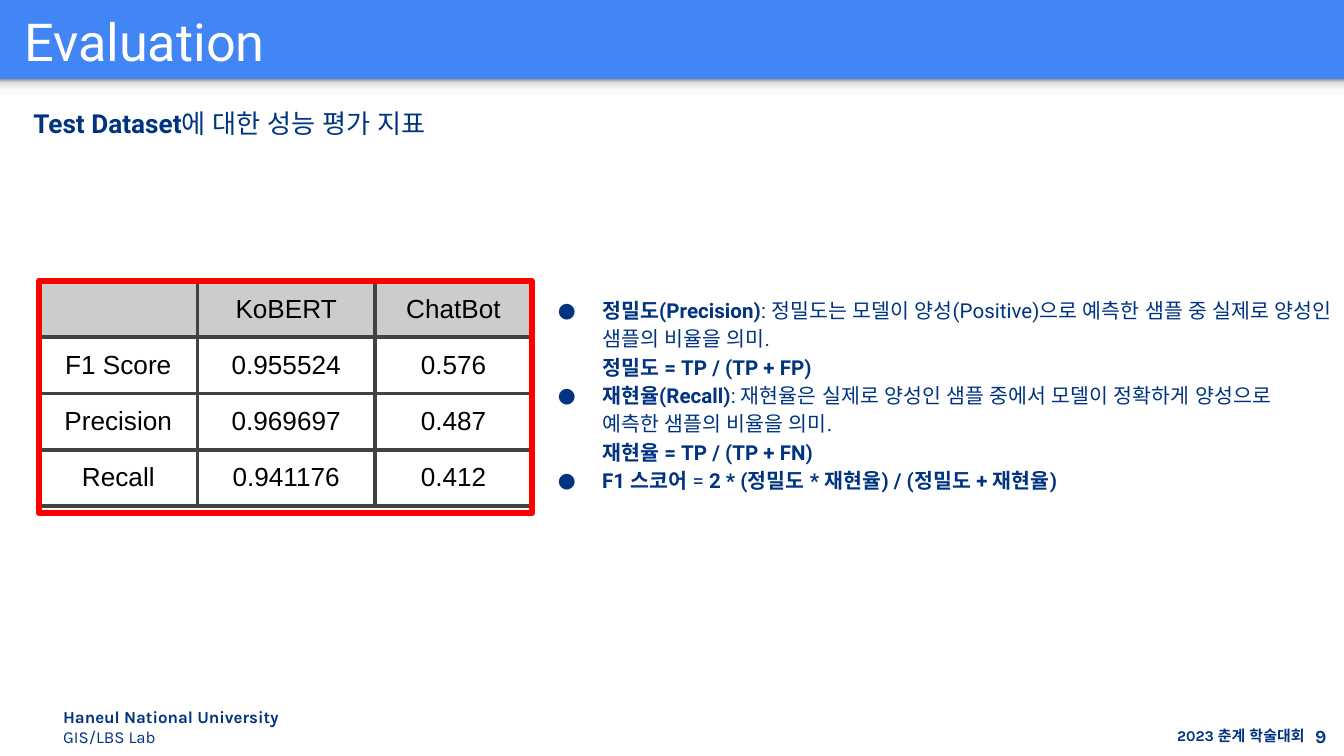
from dataclasses import dataclass

from lxml.etree import SubElement as Sub
from pptx import Presentation
from pptx.dml.color import RGBColor as RGB
from pptx.enum.shapes import MSO_SHAPE as Shape
from pptx.enum.text import MSO_ANCHOR as Anchor, MSO_AUTO_SIZE as Auto, PP_ALIGN as Align
from pptx.oxml.ns import qn
from pptx.util import Inches, Pt


@dataclass(frozen=True)
class Theme:
    blue: str = "4285F4"
    navy: str = "003380"
    white: str = "FFFFFF"
    black: str = "000000"
    gray: str = "CCCCCC"
    rule: str = "424242"
    red: str = "FF0000"
    shade: tuple = ((0, "F9F9F9"), (36, "F9F9F9"), (80, "DEDEDE"), (100, "999999"))
    main: str = "Roboto"
    foot: str = "Karla"
    grid: str = "Arial"
    title: float = 28
    head: float = 14
    body: float = 11
    page: float = 10
    lab: float = 9
    event: float = 8


class Deck:
    def __init__(self, theme):
        self.theme = theme
        self.prs = Presentation()
        self.prs.slide_width = Inches(10)
        self.prs.slide_height = Inches(10) * 9 // 16
        self.slide = self.prs.slides.add_slide(self.prs.slide_layouts[1])
        fill = self.slide.background.fill
        fill.solid()
        fill.fore_color.rgb = RGB.from_string(theme.blue)

    def style(self, run, font, size, color, bold=False):
        run.font.name, run.font.size, run.font.bold = font, Pt(size), bold
        run.font.color.rgb = RGB.from_string(color)
        Sub(run._r.get_or_add_rPr(), qn("a:ea"), typeface=font)

    def place(self, item, box):
        item.left, item.top, item.width, item.height = map(Inches, box)

    def frame(self, item, inset=0.1, anchor=Anchor.TOP):
        tf = item.text_frame
        tf.word_wrap, tf.auto_size, tf.vertical_anchor = True, Auto.NONE, anchor
        tf.margin_left = tf.margin_right = tf.margin_top = tf.margin_bottom = Inches(inset)
        return tf

    def rich(self, par, parts, font, size):
        """Fill a paragraph with (text, bold) parts; None is a line break."""
        for part in parts:
            if part is None:
                par.add_line_break()
                continue
            run = par.add_run()
            run.text, bold = part
            self.style(run, font, size, self.theme.navy, bold)

    def title(self, text, box):
        item = self.slide.shapes.title
        self.place(item, box)
        tf = self.frame(item, anchor=Anchor.MIDDLE)
        tf.text = text
        par = tf.paragraphs[0]
        par.alignment = Align.LEFT
        self.style(par.runs[0], self.theme.main, self.theme.title, self.theme.white)

    def bullets(self, items, box):
        theme = self.theme
        item = self.slide.placeholders[1]
        self.place(item, box)
        tf = self.frame(item)
        for i, parts in enumerate(items):
            par = tf.add_paragraph() if i else tf.paragraphs[0]
            par.line_spacing, par.space_before = 1.15, Pt(0 if i else 15)
            self.rich(par, parts, theme.main, theme.body)
            ppr = par._p.get_or_add_pPr()
            ppr.set("marL", str(Inches(0.5)))
            ppr.set("indent", str(Inches(-0.33)))
            Sub(Sub(ppr, qn("a:buClr")), qn("a:srgbClr"), val=theme.navy)
            Sub(ppr, qn("a:buSzPts"), val=str(theme.body * 100))
            Sub(ppr, qn("a:buFont"), typeface=theme.main)
            Sub(ppr, qn("a:buChar"), char="●")

    def text(self, lines, box, font, size, inset=0, anchor=Anchor.MIDDLE, align=Align.LEFT):
        tf = self.frame(self.slide.shapes.add_textbox(*map(Inches, box)), inset, anchor)
        for i, parts in enumerate(lines):
            par = tf.add_paragraph() if i else tf.paragraphs[0]
            par.alignment = align
            self.rich(par, parts, font, size)

    def rect(self, box):
        item = self.slide.shapes.add_shape(Shape.RECTANGLE, *map(Inches, box))
        item.shadow.inherit = False
        return item

    def panel(self, box, level, color=None, stops=()):
        """Borderless area behind the text, plain or shaded upwards."""
        item = self.rect(box)
        item.line.fill.background()
        if stops:
            item.fill.gradient()
            item.fill.gradient_angle = 90
            ramp = item._element.spPr.find(qn("a:gradFill")).find(qn("a:gsLst"))
            ramp[:] = []
            for pos, tone in stops:
                stop = Sub(ramp, qn("a:gs"), pos=str(pos * 1000))
                Sub(stop, qn("a:srgbClr"), val=tone)
        else:
            item.fill.solid()
            item.fill.fore_color.rgb = RGB.from_string(color)
        self.slide.shapes._spTree.insert(2 + level, item._element)

    def outline(self, box, color, width):
        item = self.rect(box)
        item.fill.background()
        item.line.color.rgb = RGB.from_string(color)
        item.line.width = Pt(width)

    def table(self, rows, left, top, widths, heights):
        theme = self.theme
        box = left, top, sum(widths), sum(heights)
        table = self.slide.shapes.add_table(
            len(rows), len(widths), *map(Inches, box)).table
        for col, width in zip(table.columns, widths):
            col.width = Inches(width)
        for r, row in enumerate(rows):
            table.rows[r].height = Inches(heights[r])
            for c, text in enumerate(row):
                cell = table.cell(r, c)
                self.border(cell)
                cell.fill.solid()
                cell.fill.fore_color.rgb = RGB.from_string(theme.white if r else theme.gray)
                cell.margin_left = cell.margin_right = Inches(0.1)
                cell.margin_top = cell.margin_bottom = Inches(0.1)
                cell.text = text
                par = cell.text_frame.paragraphs[0]
                par.alignment = Align.CENTER
                for run in par.runs:
                    self.style(run, theme.grid, theme.head, theme.black)
                if not text:
                    par.font.size = Pt(theme.body)

    def border(self, cell):
        props = cell._tc.get_or_add_tcPr()
        for side in "LRTB":
            line = Sub(props, qn("a:ln" + side), w=str(Pt(2.25)))
            Sub(Sub(line, qn("a:solidFill")), qn("a:srgbClr"), val=self.theme.rule)


def main():
    theme = Theme()
    deck = Deck(theme)

    # Page areas and title
    deck.panel((0, 0.68, 10, 4.95), 0, color=theme.white)
    deck.panel((0, 0.59, 10, 0.12), 1, stops=theme.shade)
    deck.title("Evaluation", (0.08, 0.09, 9.84, 0.43))

    # Footer
    deck.text([[("Haneul National University", True)], [("GIS/LBS Lab", False)]],
              (0.47, 5.26, 1.9, 0.29), theme.foot, theme.lab)
    deck.text([[("9", True)]], (9.54, 5.33, 0.33, 0.29),
              theme.foot, theme.page, align=Align.RIGHT)
    deck.text([[("2023 춘계 학술대회", True)]], (8.39, 5.33, 1.32, 0.29),
              theme.foot, theme.event, align=Align.RIGHT)

    # Scores
    deck.table([("", "KoBERT", "ChatBot"),
                ("F1 Score", "0.955524", "0.576"),
                ("Precision", "0.969697", "0.487"),
                ("Recall", "0.941176", "0.412")],
               0.29, 2.09, (1.18, 1.32, 1.17), (0.29, 0.37, 0.37, 0.37))
    deck.text([[("Test Dataset", True), ("에 대한 성능 평가 지표", False)]],
              (0.15, 0.7, 4.8, 0.44), theme.main, theme.head, 0.1, Anchor.TOP)

    # Definitions
    deck.bullets([
        [("정밀도(Precision)", True),
         (": 정밀도는 모델이 양성(Positive)으로 예측한 샘플 중 실제로 양성인 샘플의 비율을 의미.", False),
         None, ("정밀도 = TP / (TP + FP)", True)],
        [("재현율(Recall)", True),
         (": 재현율은 실제로 양성인 샘플 중에서 모델이 정확하게 양성으로 예측한 샘플의 비율을 의미.", False),
         None, ("재현율 = TP / (TP + FN)", True)],
        [("F1 스코어", True), (" = ", False),
         ("2 * (정밀도 * 재현율) / (정밀도 + 재현율)", True)],
    ], (3.88, 2.09, 6.13, 2.09))

    # Frame around the scores
    deck.outline((0.29, 2.09, 3.67, 1.73), theme.red, 3)

    deck.prs.save("out.pptx")


if __name__ == "__main__":
    main()
